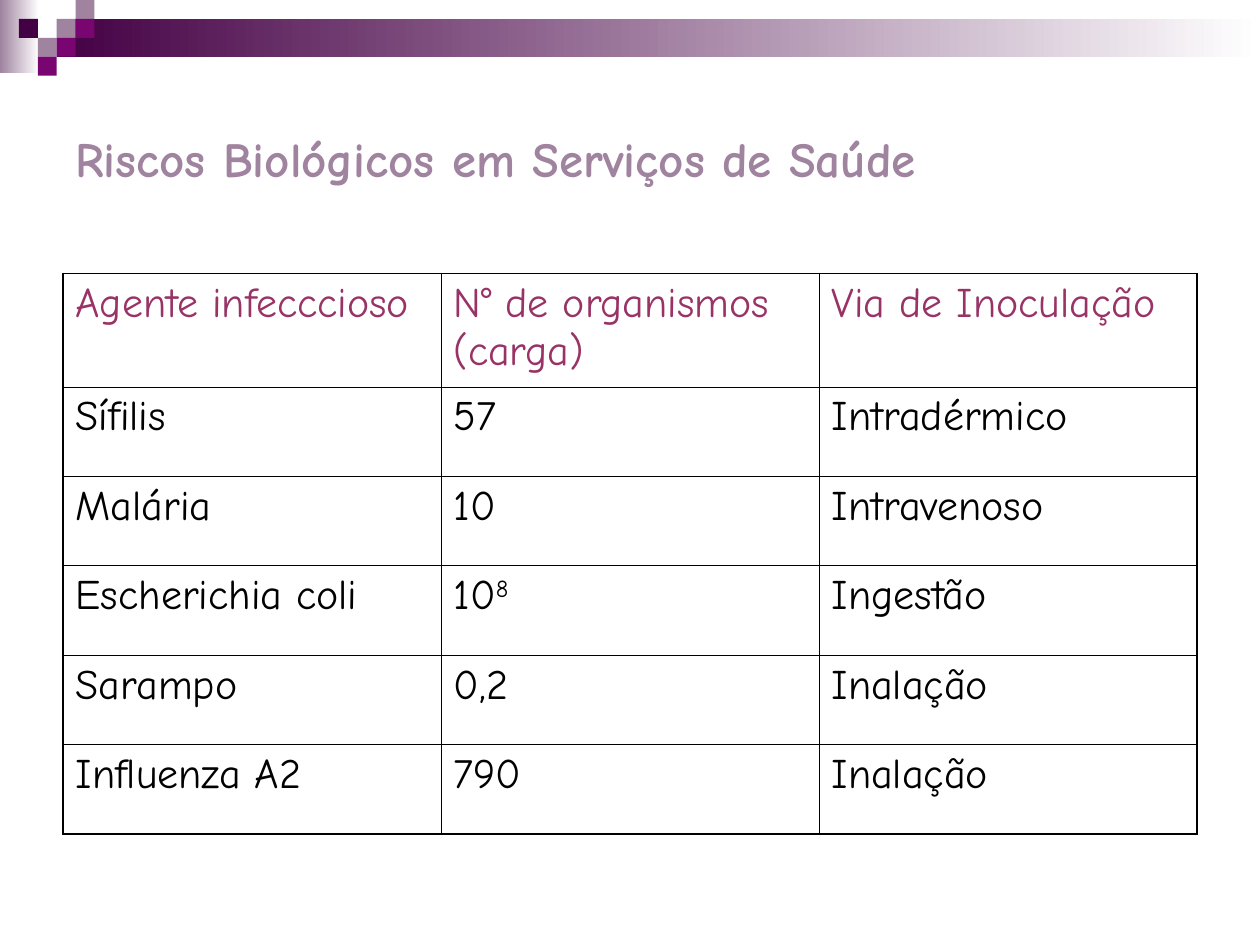
from lxml.etree import SubElement
from pptx import Presentation
from pptx.dml.color import RGBColor
from pptx.enum.shapes import MSO_SHAPE
from pptx.enum.text import MSO_ANCHOR
from pptx.oxml import parse_xml
from pptx.oxml.ns import nsdecls, qn
from pptx.util import Inches, Pt

HUES = {"mauve": "9F839F", "dark": "440044", "plum": "790571",
        "rose": "993366", "black": "000000", "white": "FFFFFF"}
UNIT = 0.15
TILES = [(3, 1, "mauve"), (4, 0, "mauve"), (4, 1, "plum"), (2, 2, "mauve"),
         (1, 1, "dark"), (3, 2, "plum"), (2, 3, "plum")]
ROWS = [("Agente infecccioso", "N° de organismos (carga)", "Via de Inoculação"),
        ("Sífilis", "57", "Intradérmico"),
        ("Malária", "10", "Intravenoso"),
        ("Escherichia coli", "10^8", "Ingestão"),
        ("Sarampo", "0,2", "Inalação"),
        ("Influenza A2", "790", "Inalação")]


def color(name):
    """Return the named colour."""
    return RGBColor.from_string(HUES[name])


class Deck:
    """Hold the text style and the current slide."""

    def __init__(self, slide, face):
        """Keep the slide and the font name."""
        self.slide, self.face = slide, face

    def style(self, run, size, hue, bold=False):
        """Format one run."""
        font = run.font
        font.name, font.size, font.bold = self.face, Pt(size), bold
        font.color.rgb = color(hue)

    def rect(self, x, y, w, h, hue, fade=None):
        """Draw a plain or fading rectangle."""
        box = self.slide.shapes.add_shape(
            MSO_SHAPE.RECTANGLE, Inches(x), Inches(y), Inches(w), Inches(h))
        box.shadow.inherit = False
        box.line.fill.background()
        if fade:
            box.fill.gradient()
            box.fill.gradient_angle = 0
            for stop, name in zip(box.fill.gradient_stops, (hue, fade)):
                stop.color.rgb = color(name)
        else:
            box.fill.solid()
            box.fill.fore_color.rgb = color(hue)

    def title(self, text, x, y, w, h):
        """Write the slide title."""
        box = self.slide.shapes.add_textbox(
            Inches(x), Inches(y), Inches(w), Inches(h))
        frame = box.text_frame
        frame.word_wrap = True
        frame.vertical_anchor = MSO_ANCHOR.MIDDLE
        frame.text = text
        self.style(frame.paragraphs[0].runs[0], 28, "mauve", True)

    def border(self, cell, sides):
        """Set the cell borders from side and width pairs."""
        props = cell._tc.get_or_add_tcPr()
        for spot, (side, width) in enumerate(sides):
            line = parse_xml(f'<a:ln{side} {nsdecls("a")} w="{Pt(width)}"/>')
            fill = SubElement(line, qn("a:solidFill"))
            SubElement(fill, qn("a:srgbClr"), val=HUES["black"])
            props.insert(spot, line)

    def cell(self, cell, text, hue):
        """Fill one cell, raising what follows a caret."""
        cell.fill.background()
        base, _, power = text.partition("^")
        para = cell.text_frame.paragraphs[0]
        para.text = base
        if power:
            run = para.add_run()
            run.text = power
            run.font._element.set("baseline", "30000")
        for run in para.runs:
            self.style(run, 24, hue)

    def table(self, rows, x, y, wide, highs):
        """Draw the table with a heavier outer frame."""
        count, span = len(rows), len(rows[0])
        grid = self.slide.shapes.add_table(
            count, span, Inches(x), Inches(y),
            Inches(wide * span), Inches(sum(highs))).table
        grid.first_row = grid.horz_banding = False
        for col in grid.columns:
            col.width = Inches(wide)
        for r, (row, high) in enumerate(zip(rows, highs)):
            grid.rows[r].height = Inches(high)
            for c, text in enumerate(row):
                cell = grid.cell(r, c)
                self.cell(cell, text, "black" if r else "rose")
                outer = {"L": c == 0, "R": c == span - 1,
                         "T": r == 0, "B": r == count - 1}
                self.border(cell, [(side, 1.08 if edge else 0.45)
                                   for side, edge in outer.items()])


def main():
    """Build and save the slide."""
    show = Presentation()
    show.slide_width, show.slide_height = Inches(10), Inches(7.5)
    deck = Deck(show.slides.add_slide(show.slide_layouts[6]), "Comic Neue")
    deck.rect(0, 0, 0.31, 0.58, "mauve", "white")
    deck.rect(0.45, UNIT, 9.55, 2 * UNIT, "dark", "white")
    for col, row, hue in TILES:
        deck.rect(col * UNIT, row * UNIT, UNIT, UNIT, hue)
    deck.title("Riscos Biológicos em Serviços de Saúde", 0.5, 0.5, 9, 1.5)
    deck.table(ROWS, 0.5, 2.17, 3, [0.9] + [0.71] * 5)
    show.save("out.pptx")


if __name__ == "__main__":
    main()
